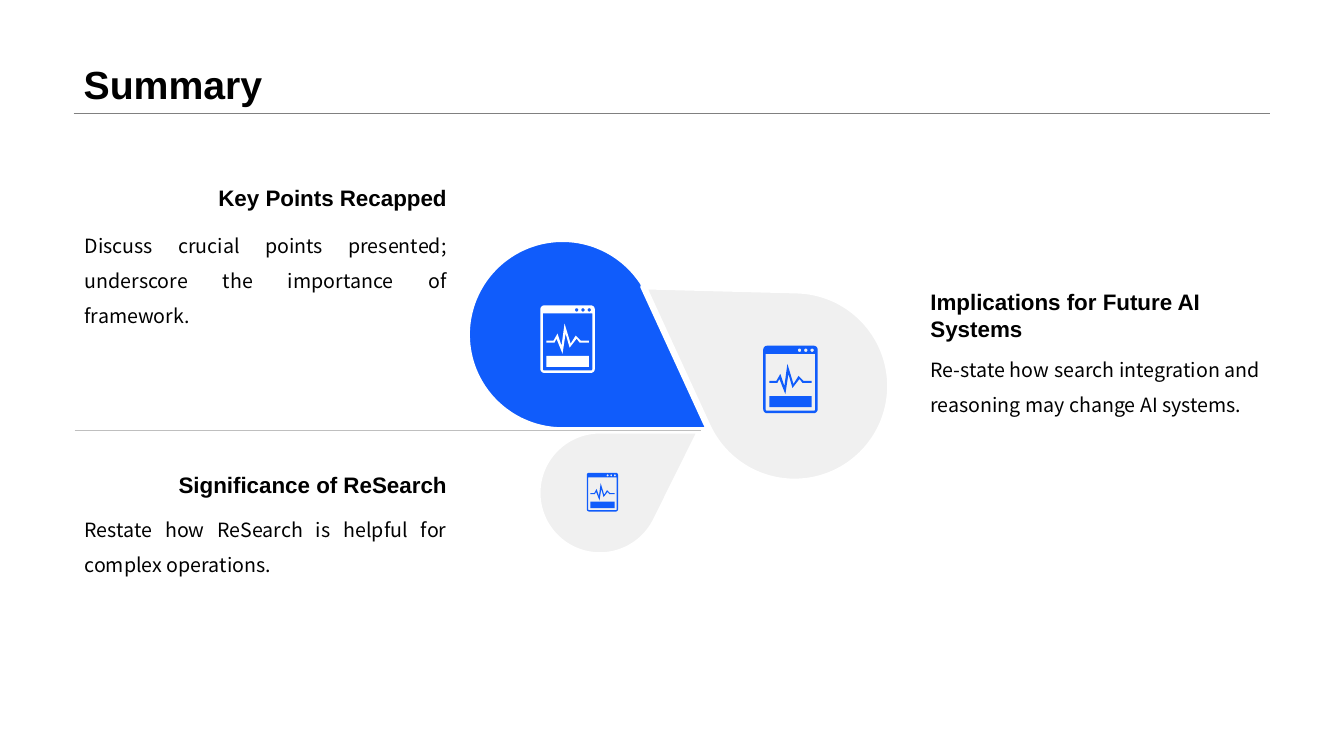
import math

import pptx
import pptx.dml.color
import pptx.enum.shapes
import pptx.enum.text
import pptx.oxml
import pptx.util

BLUE = pptx.dml.color.RGBColor(0x10, 0x5C, 0xFB)
PALE = pptx.dml.color.RGBColor(0xF0, 0xF0, 0xF0)
WHITE = pptx.dml.color.RGBColor(0xFF, 0xFF, 0xFF)
BLACK = pptx.dml.color.RGBColor(0, 0, 0)
GREY = pptx.dml.color.RGBColor(0x80, 0x80, 0x80)
SILVER = pptx.dml.color.RGBColor(0xBF, 0xBF, 0xBF)
HEAD_FONT, BODY_FONT = "Arial", "Noto Sans CJK SC"
ALIGN = pptx.enum.text.PP_ALIGN
ANCHOR = pptx.enum.text.MSO_ANCHOR

WIDTH, HEIGHT = 13.33, 7.5
MARGIN = 0.73
CONTENT = WIDTH - 2 * MARGIN
TITLE_BOTTOM = 1.12
DIVIDER = 4.27
LEFT_COLUMN = (0.74, 3.79)
RIGHT_COLUMN = (9.13, 3.47)
HEAD_HEIGHT, BODY_HEIGHT = 0.37, 1.12

TITLE = "Summary"
# column, heading top, body top, heading alignment, heading, body
POINTS = [
    (LEFT_COLUMN, 1.77, 2.15, ALIGN.RIGHT, "Key Points Recapped",
     "Discuss crucial points presented; underscore the importance of framework."),
    (LEFT_COLUMN, 4.62, 4.97, ALIGN.RIGHT, "Significance of ReSearch",
     "Restate how ReSearch is helpful for complex operations."),
    (RIGHT_COLUMN, 2.94, 3.38, ALIGN.LEFT, "Implications for Future AI Systems",
     "Re-state how search integration and reasoning may change AI systems."),
]
# centre, radius, tip, fill
DROPS = [
    ((5.58, 3.32), 0.95, (7.09, DIVIDER), BLUE),
    ((5.95, 4.89), 0.62, (6.95, DIVIDER), PALE),
    ((7.88, 3.83), 0.95, (6.38, 2.84), PALE),
]
# left, top, width, fill
ICONS = [
    (5.36, 3.03, 0.54, WHITE),
    (5.82, 4.69, 0.31, BLUE),
    (7.57, 3.43, 0.54, BLUE),
]
# The icon is drawn on a grid 54 units wide and 67 high.
ICON_GRID = 54
PULSE = [(24, 18), (30, 38), (35, 30), (40, 35), (48, 35), (48, 37),
         (39, 37), (36, 33), (29, 42), (25, 28), (22, 48), (16, 33),
         (14, 37), (6, 37), (6, 35), (13, 35), (17, 28), (21, 40)]


def arc(centre, radius, start, end, steps):
    """Points on a circle, angles in radians growing clockwise."""
    angles = [start + (end - start) * i / steps for i in range(steps + 1)]
    return [(centre[0] + radius * math.cos(a), centre[1] + radius * math.sin(a))
            for a in angles]


def rounded_box(left, top, right, bottom, radius):
    corners = [(right - radius, bottom - radius), (left + radius, bottom - radius),
               (left + radius, top + radius), (right - radius, top + radius)]
    return [pt for i, corner in enumerate(corners)
            for pt in arc(corner, radius, i * math.pi / 2, (i + 1) * math.pi / 2, 6)]


def drop_outline(centre, radius, tip):
    """Circle joined to the tip by its two tangents."""
    dx, dy = tip[0] - centre[0], tip[1] - centre[1]
    toward = math.atan2(dy, dx)
    half = math.acos(radius / math.hypot(dx, dy))
    return arc(centre, radius, toward + half, toward - half + 2 * math.pi, 120) + [tip]


def icon_outlines():
    dots = [arc((x, 4.5), 1.7, 0, 2 * math.pi, 16) for x in (36, 42.25, 48.5)]
    bar = [(6, 50), (48, 50), (48, 61), (6, 61)]
    screen = [(2.5, 8), (51.5, 8)] + rounded_box(2.5, 8, 51.5, 64.5, 1)[:14] 
    return [rounded_box(0, 0, 54, 67, 4), screen, bar, PULSE] + dots


def add_outlines(s, outlines, fill, border=None):
    outlines = [[(pptx.util.Inches(x), pptx.util.Inches(y)) for x, y in outline]
                for outline in outlines]
    builder = s.shapes.build_freeform(*outlines[0][0])
    for i, outline in enumerate(outlines):
        if i:
            builder.move_to(*outline[0])
        builder.add_line_segments(outline[1:], close=True)
    sp = builder.convert_to_shape()
    sp.shadow.inherit = False
    sp.fill.solid()
    sp.fill.fore_color.rgb = fill
    if border is None:
        sp.line.fill.background()
    else:
        sp.line.color.rgb = border
        sp.line.width = pptx.util.Pt(4.5)


def add_rule(s, left, right, y, color):
    line = s.shapes.add_connector(
        pptx.enum.shapes.MSO_CONNECTOR.STRAIGHT,
        *[pptx.util.Inches(v) for v in (left, y, right, y)])
    line.line.color.rgb = color
    line.line.width = pptx.util.Pt(0.25)
    pptx.oxml.xmlchemy.OxmlElement
    line._element.spPr.append(pptx.oxml.parse_xml(
        '<a:effectLst xmlns:a="http://schemas.openxmlformats.org/drawingml/2006/main"/>'))


def set_text(sp, text, size, font, bold, align, anchor, spacing):
    tf = sp.text_frame
    tf.text = text
    tf.word_wrap = True
    tf.vertical_anchor = anchor
    p = tf.paragraphs[0]
    p.alignment = align
    p.line_spacing = spacing
    r = p.runs[0]
    r.font.size = pptx.util.Pt(size)
    r.font.name = font
    r.font.bold = bold
    r.font.color.rgb = BLACK


def add_text(s, column, top, height, *style):
    left, width = column
    sp = s.shapes.add_textbox(
        *[pptx.util.Inches(v) for v in (left, top, width, height)])
    set_text(sp, *style)
    sp.text_frame.auto_size = pptx.enum.text.MSO_AUTO_SIZE.SHAPE_TO_FIT_TEXT


def main():
    prs = pptx.Presentation()
    prs.slide_width = pptx.util.Inches(WIDTH)
    prs.slide_height = pptx.util.Inches(HEIGHT)
    s = prs.slides.add_slide(prs.slide_layouts.get_by_name("Title Only"))

    title = s.shapes.title
    title.left, title.top = pptx.util.Inches(MARGIN), 0
    title.width = pptx.util.Inches(CONTENT)
    title.height = pptx.util.Inches(TITLE_BOTTOM)
    set_text(title, TITLE, 28, HEAD_FONT, True, ALIGN.LEFT, ANCHOR.BOTTOM, 0.9)
    add_rule(s, MARGIN, MARGIN + CONTENT, TITLE_BOTTOM, GREY)

    for centre, radius, tip, fill in DROPS:
        add_outlines(s, [drop_outline(centre, radius, tip)], fill, WHITE)
    for left, top, width, fill in ICONS:
        unit = width / ICON_GRID
        add_outlines(s, [[(left + x * unit, top + y * unit) for x, y in outline]
                         for outline in icon_outlines()], fill)
    add_rule(s, LEFT_COLUMN[0], 6.95, DIVIDER, SILVER)

    for column, head_top, body_top, align, head, body in POINTS:
        add_text(s, column, head_top, HEAD_HEIGHT,
                 head, 16, HEAD_FONT, True, align, ANCHOR.MIDDLE, 1.0)
        add_text(s, column, body_top, BODY_HEIGHT,
                 body, 14, BODY_FONT, False, ALIGN.JUSTIFY, ANCHOR.TOP, 1.5)

    prs.save("out.pptx")


if __name__ == "__main__":
    main()
